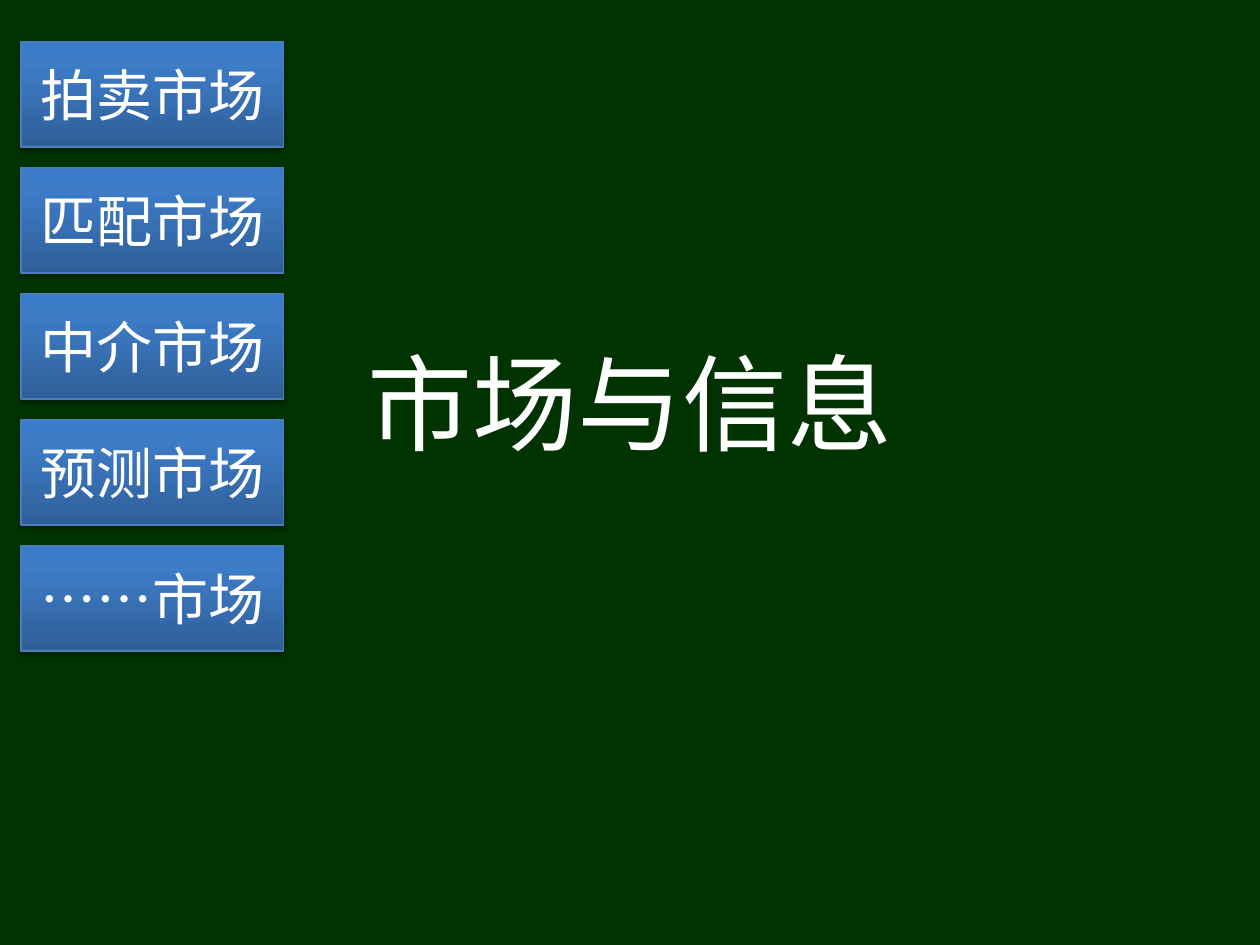
import collections
import dataclasses

import lxml.etree
import pptx
import pptx.dml.color
import pptx.enum.shapes
import pptx.enum.text
import pptx.oxml.ns
import pptx.util

Box = collections.namedtuple("Box", "left top width height")


@dataclasses.dataclass(frozen=True)
class Theme:
    background: str = "003300"
    text: str = "FFFFFF"
    outline: str = "4B7EBC"
    shadow: str = "000000"
    gradient: tuple = ((0, "2F5F99"), (80, "3D7CC7"), (100, "3A7CCB"))
    font: str = "Noto Sans CJK SC"
    title_size: int = 60
    card_size: int = 32


THEME = Theme()
GRID_UNIT = pptx.util.Inches(10) // 120
MARKETS = ("拍卖市场", "匹配市场", "中介市场", "预测市场", "……市场")


def rgb(value):
    return pptx.dml.color.RGBColor.from_string(value)


def apply(target, formats):
    for name, value in formats.items():
        setattr(target, name, value)


def add_element(parent, tag, **attributes):
    values = {name: str(value) for name, value in attributes.items()}
    return lxml.etree.SubElement(parent, pptx.oxml.ns.qn(tag), values)


def on_grid(box):
    return [round(length * GRID_UNIT) for length in box]


def write_text(shape, text, size, line_spacing=1.0):
    frame = shape.text_frame
    apply(frame, {
        "word_wrap": True,
        "vertical_anchor": pptx.enum.text.MSO_ANCHOR.MIDDLE,
    })
    para = frame.paragraphs[0]
    apply(para, {
        "alignment": pptx.enum.text.PP_ALIGN.CENTER,
        "line_spacing": line_spacing,
    })
    span = para.add_run()
    span.text = text
    apply(span.font, {"size": pptx.util.Pt(size), "name": THEME.font})
    span.font.color.rgb = rgb(THEME.text)
    properties = span.font._element
    properties.set("lang", "zh-CN")
    add_element(properties, "a:ea", typeface=THEME.font)


def fill_gradient(shape):
    shape.fill.gradient()
    shape.fill.gradient_angle = 90
    stops = shape.fill._fill._gradFill.find(pptx.oxml.ns.qn("a:gsLst"))
    for stop in list(stops):
        stops.remove(stop)
    for position, colour in THEME.gradient:
        stop = add_element(stops, "a:gs", pos=position * 1000)
        add_element(stop, "a:srgbClr", val=colour)


def cast_shadow(shape):
    shape.shadow.inherit = False
    effects = shape._element.spPr.find(pptx.oxml.ns.qn("a:effectLst"))
    shadow = add_element(
        effects, "a:outerShdw", blurRad=40000, dist=23000,
        dir=5400000, rotWithShape=0,
    )
    colour = add_element(shadow, "a:srgbClr", val=THEME.shadow)
    add_element(colour, "a:alpha", val=35000)


def add_title(page, box, text):
    title = page.shapes.add_textbox(*on_grid(box))
    write_text(title, text, THEME.title_size, 1.2)


def add_card(page, box, text):
    card = page.shapes.add_shape(
        pptx.enum.shapes.MSO_SHAPE.RECTANGLE, *on_grid(box)
    )
    fill_gradient(card)
    card.line.color.rgb = rgb(THEME.outline)
    card.line.width = pptx.util.Pt(0.75)
    cast_shadow(card)
    write_text(card, text, THEME.card_size)


def add_market_column(page, box, markets, gap):
    height = (box.height - gap * (len(markets) - 1)) / len(markets)
    for row, market in enumerate(markets):
        top = box.top + row * (height + gap)
        add_card(page, Box(box.left, top, box.width, height), market)


def main():
    deck = pptx.Presentation()
    apply(deck, {"slide_width": 120 * GRID_UNIT, "slide_height": 90 * GRID_UNIT})
    page = deck.slides.add_slide(deck.slide_layouts[6])
    page.background.fill.solid()
    page.background.fill.fore_color.rgb = rgb(THEME.background)
    add_title(page, Box(9, 21, 102, 32), "市场与信息")
    add_market_column(page, Box(2, 4, 25, 58), MARKETS, gap=2)
    deck.save("out.pptx")


if __name__ == "__main__":
    main()
